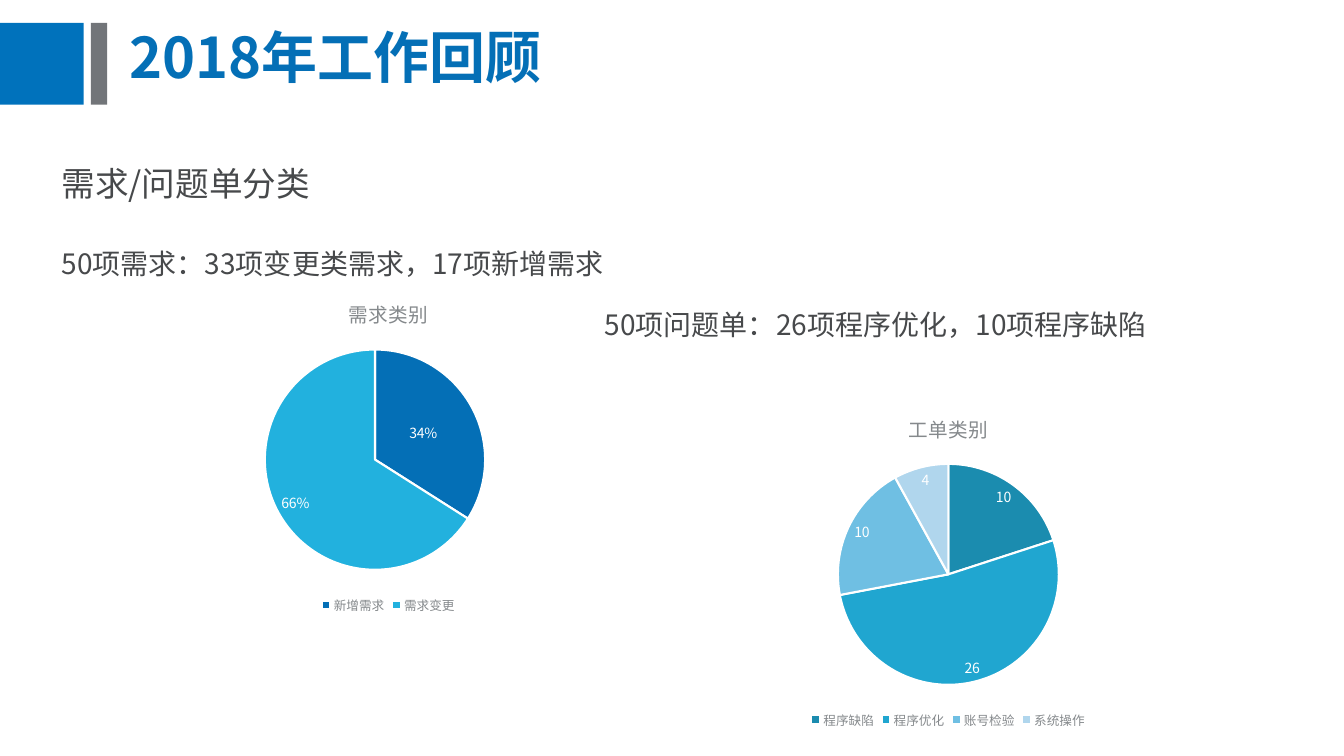
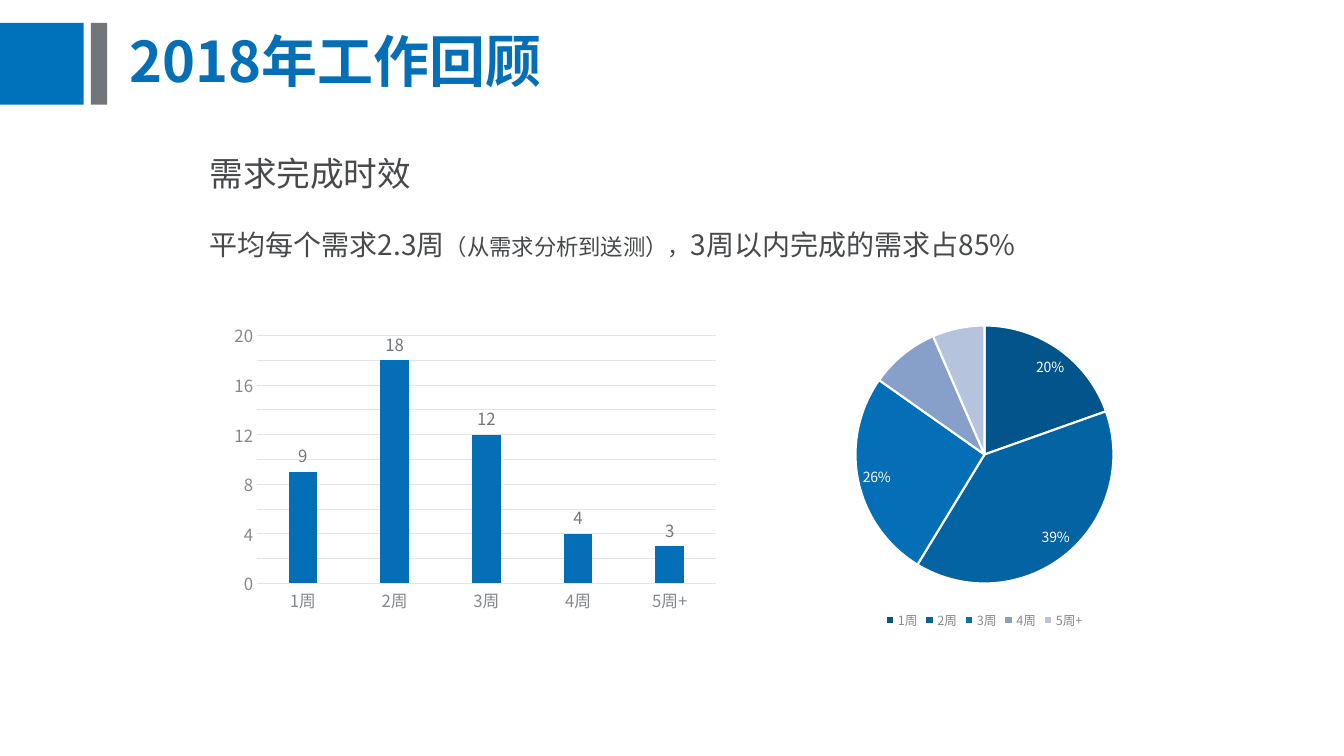
"""Build the two work review slides with their shared header, text and charts."""
from dataclasses import dataclass
from typing import Optional

from lxml.etree import SubElement
from pptx import Presentation
from pptx.chart.data import CategoryChartData as ChartData
from pptx.dml.color import RGBColor as Rgb
from pptx.enum.chart import XL_CHART_TYPE as ChartType
from pptx.enum.chart import XL_LABEL_POSITION as LabelPosition
from pptx.enum.chart import XL_LEGEND_POSITION as LegendPosition
from pptx.enum.chart import XL_TICK_MARK as TickMark
from pptx.enum.shapes import MSO_SHAPE as ShapeKind
from pptx.enum.text import MSO_ANCHOR as Anchor
from pptx.oxml.ns import qn
from pptx.util import Cm, Pt

FONT = "Noto Sans CJK SC"
TITLE = "2018年工作回顾"
COLORS = {
    "band_blue": "0072BC",
    "band_gray": "727579",
    "accent": "046FB6",
    "body": "47494B",
    "muted": "85898C",
    "value": "73767A",
    "grid": "E3E4E4",
    "white": "FFFFFF",
}


@dataclass(frozen=True)
class Box:
    left: float
    top: float
    width: float
    height: float

    def lengths(self) -> tuple:
        return Cm(self.left), Cm(self.top), Cm(self.width), Cm(self.height)


@dataclass(frozen=True)
class Phrase:
    text: str
    size: float


@dataclass(frozen=True)
class Line:
    phrases: tuple
    space_before: float = 0


@dataclass(frozen=True)
class TextBlock:
    box: Box
    lines: tuple
    inset_left: float = 0.25
    inset_top: float = 0.13


@dataclass(frozen=True)
class PieChart:
    box: Box
    plot: Box
    categories: tuple
    values: tuple
    colors: tuple
    title: str = ""
    labels: tuple = ()
    centered: Optional[int] = None


@dataclass(frozen=True)
class ColumnChart:
    box: Box
    plot: Box
    categories: tuple
    values: tuple


@dataclass(frozen=True)
class ReviewSlide:
    title_top: float
    blocks: tuple
    charts: tuple


BANDS = (
    (Box(0, 0.58, 2.11, 2.06), "band_blue"),
    (Box(2.29, 0.58, 0.41, 2.06), "band_gray"),
)
WEEKS = ("1周", "2周", "3周", "4周", "5周+")
WEEK_COUNTS = (9, 18, 12, 4, 3)

SLIDES = (
    ReviewSlide(
        title_top=0.41,
        blocks=(
            TextBlock(
                Box(0, 2.95, 24.61, 6.1),
                (
                    Line((Phrase("需求/问题单分类", 24),)),
                    Line((Phrase("50项需求：33项变更类需求，17项新增需求", 20),), 7.2),
                ),
                inset_left=1.55,
            ),
            TextBlock(
                Box(13.69, 5.44, 20.18, 8.15),
                (Line((Phrase("50项问题单：26项程序优化，10项程序缺陷", 20),)),),
                inset_left=1.55,
                inset_top=1.45,
            ),
        ),
        charts=(
            PieChart(
                Box(3.02, 7.09, 13.54, 8.48),
                Box(0.27, 0.2, 0.41, 0.66),
                ("新增需求", "需求变更"),
                (17, 33),
                ("046FB6", "22B1DE"),
                title="需求类别",
                labels=("34%", "66%"),
                centered=0,
            ),
            PieChart(
                Box(16.94, 9.98, 13.92, 8.48),
                Box(0.3, 0.2, 0.4, 0.66),
                ("程序缺陷", "程序优化", "账号检验", "系统操作"),
                (10, 26, 10, 4),
                ("1B8CAF", "20A6D0", "6FBFE3", "B0D6ED"),
                title="工单类别",
            ),
        ),
    ),
    ReviewSlide(
        title_top=0.51,
        blocks=(
            TextBlock(
                Box(5.03, 2.72, 23.24, 9.47),
                (
                    Line((Phrase("需求完成时效", 24),)),
                    Line((
                        Phrase("平均每个需求2.3周", 20),
                        Phrase("（从需求分析到送测），", 16),
                        Phrase("3周以内完成的需求占85%", 20),
                    )),
                ),
            ),
        ),
        charts=(
            ColumnChart(
                Box(5.59, 8, 12.7, 7.62),
                Box(0.07, 0.06, 0.91, 0.82),
                WEEKS,
                WEEK_COUNTS,
            ),
            PieChart(
                Box(18.31, 7.85, 13, 8.1),
                Box(0.25, 0.04, 0.5, 0.81),
                WEEKS,
                WEEK_COUNTS,
                ("03548A", "0463A2", "046FB6", "87A0CA", "B6C3DC"),
                labels=("20%", "39%", "26%", "", ""),
            ),
        ),
    ),
)


def rgb(name: str) -> Rgb:
    return Rgb.from_string(COLORS[name])


def style_font(font, size: float, color: str, bold: bool = False) -> None:
    font.size = Pt(size)
    font.bold = bold
    font.color.rgb = rgb(color)
    font.name = FONT
    SubElement(font._rPr, qn("a:ea"), typeface=FONT)


def add_run(paragraph, text: str, size: float, color: str, bold: bool = False) -> None:
    run = paragraph.add_run()
    run.text = text
    style_font(run.font, size, color, bold)


def add_header(slide, title_top: float) -> None:
    for box, color in BANDS:
        shape = slide.shapes.add_shape(ShapeKind.RECTANGLE, *box.lengths())
        shape.shadow.inherit = False
        shape.fill.solid()
        shape.fill.fore_color.rgb = rgb(color)
        shape.line.fill.background()
    title_box = Box(3.02, title_top, 30.85, 2.21)
    frame = slide.shapes.add_textbox(*title_box.lengths()).text_frame
    frame.word_wrap = True
    frame.vertical_anchor = Anchor.MIDDLE
    paragraph = frame.paragraphs[0]
    paragraph.line_spacing = 0.9
    add_run(paragraph, TITLE, 40, "accent", bold=True)


def add_text_block(slide, block: TextBlock) -> None:
    frame = slide.shapes.add_textbox(*block.box.lengths()).text_frame
    frame.word_wrap = True
    frame.margin_left = Cm(block.inset_left)
    frame.margin_top = Cm(block.inset_top)
    for index, line in enumerate(block.lines):
        paragraph = frame.add_paragraph() if index else frame.paragraphs[0]
        paragraph.line_spacing = 2.0
        paragraph.space_before = Pt(line.space_before)
        for phrase in line.phrases:
            add_run(paragraph, phrase.text, phrase.size, "body")


def place_plot(chart, plot: Box) -> None:
    area = chart._chartSpace.chart.plotArea
    for old_layout in area.findall(qn("c:layout")):
        area.remove(old_layout)
    layout = SubElement(area, qn("c:layout"))
    area.insert(0, layout)
    manual = SubElement(layout, qn("c:manualLayout"))
    settings = {
        "layoutTarget": "inner", "xMode": "edge", "yMode": "edge",
        "x": plot.left, "y": plot.top, "w": plot.width, "h": plot.height,
    }
    for tag, value in settings.items():
        SubElement(manual, qn(f"c:{tag}"), val=str(value))


def add_base_chart(slide, kind: ChartType, content):
    data = ChartData()
    data.categories = content.categories
    data.add_series("Series 1", content.values)
    chart = slide.shapes.add_chart(kind, *content.box.lengths(), data).chart
    style_font(chart.font, 10, "body")
    chart.has_title = False
    chart.has_legend = False
    place_plot(chart, content.plot)
    return chart


def style_labels(series, position: LabelPosition, size: float, color: str):
    labels = series.data_labels
    labels.show_value = True
    labels.position = position
    style_font(labels.font, size, color)
    return labels


def add_pie(slide, pie: PieChart) -> None:
    chart = add_base_chart(slide, ChartType.PIE, pie)
    if pie.title:
        chart.has_title = True
        chart.chart_title.include_in_layout = False
        add_run(chart.chart_title.text_frame.paragraphs[0], pie.title, 14, "muted")
    chart.has_legend = True
    chart.legend.position = LegendPosition.BOTTOM
    chart.legend.include_in_layout = False
    style_font(chart.legend.font, 9, "muted")
    plot = chart.plots[0]
    plot.vary_by_categories = True
    series = plot.series[0]
    for index, color in enumerate(pie.colors):
        point_format = series.points[index].format
        point_format.fill.solid()
        point_format.fill.fore_color.rgb = Rgb.from_string(color)
        point_format.line.color.rgb = rgb("white")
        point_format.line.width = Pt(1.5)
    labels = style_labels(series, LabelPosition.BEST_FIT, 10, "white")
    for index, text in enumerate(pie.labels):
        label = series.points[index].data_label
        if text:
            add_run(label.text_frame.paragraphs[0], text, 10, "white")
        centered = index == pie.centered
        label.position = LabelPosition.CENTER if centered else LabelPosition.BEST_FIT
        if not text:
            element = labels._element.findall(qn("c:dLbl"))[-1]
            for child in list(element)[1:]:
                element.remove(child)
            SubElement(element, qn("c:delete"), val="1")


def add_columns(slide, columns: ColumnChart) -> None:
    chart = add_base_chart(slide, ChartType.COLUMN_CLUSTERED, columns)
    plot = chart.plots[0]
    plot.vary_by_categories = False
    plot.gap_width = 219
    plot.overlap = -27
    series = plot.series[0]
    series.format.fill.solid()
    series.format.fill.fore_color.rgb = rgb("accent")
    style_labels(series, LabelPosition.OUTSIDE_END, 12, "value")
    value_axis, category_axis = chart.value_axis, chart.category_axis
    for axis in (value_axis, category_axis):
        axis.major_tick_mark = axis.minor_tick_mark = TickMark.NONE
        style_font(axis.tick_labels.font, 12, "muted")
    value_axis.minimum_scale, value_axis.maximum_scale = 0, 20
    value_axis.major_unit = 2
    value_axis.format.line.fill.background()
    for line in (value_axis.major_gridlines.format.line, category_axis.format.line):
        line.color.rgb = rgb("grid")
        line.width = Pt(0.75)


def build() -> None:
    presentation = Presentation()
    presentation.slide_width, presentation.slide_height = Cm(33.87), Cm(19.05)
    for content in SLIDES:
        slide = presentation.slides.add_slide(presentation.slide_layouts[6])
        add_header(slide, content.title_top)
        for block in content.blocks:
            add_text_block(slide, block)
        for chart in content.charts:
            draw = add_pie if isinstance(chart, PieChart) else add_columns
            draw(slide, chart)
    presentation.save("out.pptx")


build()
